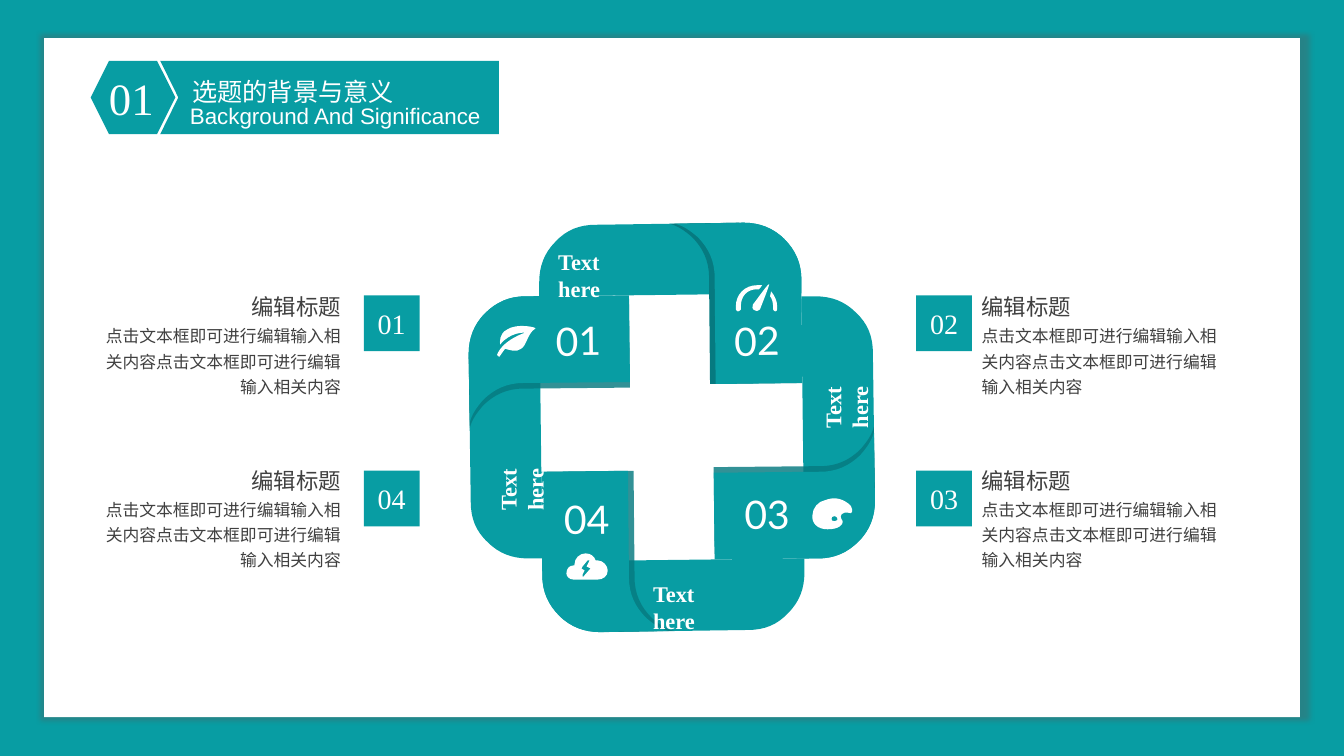
from dataclasses import dataclass

from lxml.etree import SubElement
from pptx import Presentation
from pptx.dml.color import RGBColor
from pptx.enum.shapes import MSO_SHAPE as Preset
from pptx.enum.text import MSO_ANCHOR as Anchor, PP_ALIGN as Align
from pptx.oxml import parse_xml
from pptx.oxml.ns import nsdecls, qn
from pptx.util import Pt


@dataclass(frozen=True)
class Theme:
    """Colours, fonts and type sizes of the slide."""
    teal: str = "089DA3"
    fold: str = "067A80"
    ink: str = "404040"
    white: str = "FFFFFF"
    shade: str = "595959"
    serif: str = "Times New Roman"
    hans: str = "Noto Sans CJK SC"
    sans: str = "Arial"
    digits: str = "Lato"
    chapter: int = 32
    number: int = 28
    badge: int = 20
    title: int = 18
    label: int = 16
    body: int = 12


T = Theme()

# Outlines: a pair is a line to a point, six values are a Bezier curve.
# Ribbon outlines are in points from the ring centre, for the top ribbon.
CORNER = [(52.6, -146.2), (63.4, -146.2, 73.4, -142.6, 81.4, -134.6),
          (89.3, -126.7, 93.6, -117.4, 93.6, -105.8)]
BAND = CORNER + [(93.6, -95.8), (-93.6, -93.6), (-93.6, -103.7),
                 (-93.6, -115.2, -90, -124.6, -82.1, -132.5),
                 (-74.2, -141.1, -64.8, -144.7, -53.3, -144.7)]
FLAP = CORNER + [(94.3, -31.7), (32.4, -31), (31.7, -107.3),
                 (31.7, -118.8, 27.4, -128.2, 19.4, -136.1),
                 (14.4, -140.4, 9.4, -144, 3.6, -145.4)]

# Icon outlines are on a grid of ICON_UNIT points.
ICON_UNIT = 0.72
GAUGE = [
    [(17, 21), (16, 23, 16, 26, 19, 27), (20, 28, 22, 28, 24, 26),
     (25, 23, 34, 1, 33, 1), (32, 0, 19, 19, 17, 21)],
    [(21, 6), (23, 6), (24, 5, 25, 4, 26, 2), (24, 2, 23, 2, 21, 2),
     (9, 2, 0, 11, 0, 23), (0, 26), (0, 27, 2, 28, 2, 28),
     (4, 28, 5, 26, 5, 26), (5, 23), (5, 13, 11, 6, 21, 6)],
    [(35, 8), (35, 10, 35, 11, 34, 13), (36, 15, 37, 20, 37, 23), (37, 26),
     (37, 26, 38, 28, 39, 28), (40, 28, 41, 27, 41, 26), (41, 23),
     (41, 18, 39, 13, 35, 8)]]
PALETTE = [
    [(36, 6), (29, 1, 22, 0, 14, 3), (7, 4, 1, 11, 1, 18),
     (0, 26, 6, 32, 16, 32), (28, 32, 31, 27, 31, 25),
     (32, 24, 27, 20, 30, 17), (34, 14, 37, 16, 39, 16),
     (41, 16, 42, 10, 36, 6)],
    [(23, 24), (20, 24, 20, 23, 20, 22), (20, 20, 20, 19, 23, 19),
     (24, 19, 26, 20, 26, 22), (26, 23, 24, 24, 23, 24)]]
CLOUD = [
    [(31, 7), (29, 7), (28, 3, 24, 0, 19, 0), (13, 0, 8, 5, 8, 11), (8, 12),
     (7, 12), (3, 12, 0, 15, 0, 20), (0, 23, 3, 26, 7, 26), (31, 26),
     (36, 26, 41, 23, 41, 17), (41, 12, 36, 7, 31, 7)],
    [(23, 16), (17, 23), (16, 23), (16, 21), (18, 17), (15, 15), (16, 13),
     (21, 7), (23, 7), (22, 9), (20, 13), (22, 14), (24, 15)]]
LEAF = [
    [(10, 7), (2, 11, 3, 19, 3, 22), (13, 9, 28, 10, 28, 10),
     (28, 10, 6, 17, 0, 32), (0, 33, 3, 35, 3, 33), (5, 30, 8, 26, 8, 26),
     (12, 27, 19, 30, 24, 26), (30, 22, 30, 11, 38, 6),
     (41, 5, 20, 0, 10, 7)]]


def assign(target, values):
    """Set each named attribute of target."""
    for key, value in values.items():
        setattr(target, key, value)


def paint(shape, color, alpha=None):
    """Give a shape a plain fill with no line and no shadow."""
    shape.shadow.inherit = False
    shape.fill.solid()
    shape.fill.fore_color.rgb = RGBColor.from_string(color)
    shape.line.fill.background()
    if alpha:
        tint = shape._element.spPr.find(".//" + qn("a:srgbClr"))
        SubElement(tint, qn("a:alpha"), val=str(alpha * 1000))
    return shape


def bend(shape, contours):
    """Join the three lines that stand for each curve into a Bezier curve."""
    outline = shape._element.spPr.find(".//" + qn("a:path"))
    lines = iter(outline.findall(qn("a:lnTo")))
    for segment in (part for contour in contours for part in contour[1:]):
        curve = next(lines)
        if len(segment) == 6:
            curve.tag = qn("a:cubicBezTo")
            for line in (next(lines), next(lines)):
                curve.append(line[0])
                outline.remove(line)


def draw_outline(slide, contours, place, color, alpha=None):
    """Draw closed contours as one freeform, moving each point with place."""
    rings = [[tuple(map(Pt, place(*segment[i:i + 2])))
              for segment in contour for i in range(0, len(segment), 2)]
             for contour in contours]
    builder = slide.shapes.build_freeform(*rings[0][0], scale=1.0)
    for index, ring in enumerate(rings):
        if index:
            builder.move_to(*ring[0])
        builder.add_line_segments(ring[1:], close=True)
    shape = builder.convert_to_shape()
    bend(shape, contours)
    paint(shape, color, alpha)


def block(slide, box, color, preset=Preset.RECTANGLE):
    """Add a plain filled preset shape."""
    return paint(slide.shapes.add_shape(preset, *map(Pt, box)), color)


def write(shape, text, size, font, color=T.white, align=Align.LEFT, bold=False,
          spacing=None, **frame):
    """Put one formatted paragraph into a shape."""
    assign(shape.text_frame, {"word_wrap": True, **frame})
    paragraph = shape.text_frame.paragraphs[0]
    assign(paragraph, {"alignment": align, "line_spacing": spacing})
    run = paragraph.add_run()
    run.text = text
    assign(run.font, {"size": Pt(size), "name": font, "bold": bold})
    run.font.color.rgb = RGBColor.from_string(color)
    SubElement(run.font._element, qn("a:ea"), typeface=font)


def label(slide, box, *text, rotation=0, **formats):
    """Add a text box with one paragraph."""
    textbox = slide.shapes.add_textbox(*map(Pt, box))
    textbox.rotation = rotation
    write(textbox, *text, **formats)


def draw_page(slide, box):
    """White page with a soft shadow on the teal background."""
    page = block(slide, box, T.white)
    page._element.spPr.remove(page._element.spPr.find(qn("a:effectLst")))
    page._element.spPr.append(parse_xml(
        f'<a:effectLst {nsdecls("a")}><a:outerShdw blurRad="{Pt(4)}" dist="{Pt(2)}"'
        ' dir="0" sx="101000" sy="101000" algn="ctr" rotWithShape="0">'
        f'<a:srgbClr val="{T.shade}"><a:alpha val="36000"/></a:srgbClr>'
        '</a:outerShdw></a:effectLst>'))


def draw_heading(slide, box, chapter, title, subtitle):
    """Chapter hexagon and notched title banner."""
    left, top, width, height = box
    notch = [(49.7, 0), (width, 0), (width, height), (49.7, height),
             (62.6, height / 2)]
    draw_outline(slide, [notch], lambda x, y: (left + x, top + y), T.teal)
    block(slide, (left, top, 60.5, height), T.teal, Preset.HEXAGON)
    label(slide, (left - 2.2, top + 3.6, 62.6, 46), chapter, T.chapter, T.serif,
          align=Align.CENTER)
    label(slide, (left + 65.5, top - 13.7, 160, 44.6), title, T.title, T.hans,
          spacing=2.0, word_wrap=False)
    label(slide, (left + 62, top + 25.9, 225.4, 26.6), subtitle, T.label, T.sans,
          align=Align.CENTER, vertical_anchor=Anchor.MIDDLE)


def draw_ring(slide, box):
    """Four folded ribbons, each a quarter turn of the top one."""
    left, top, width, height = box
    center_x, center_y = left + width / 2, top + height / 2

    def turned(quarter, shift=0):
        """Return the move from the top ribbon to the given quarter."""
        def place(x, y):
            x += shift
            for _ in range(quarter):
                x, y = -y, x
            nudge = 2.2 if quarter > 1 else 0
            return center_x + x + nudge, center_y + y
        return place

    for quarter in range(4):
        draw_outline(slide, [BAND], turned(quarter), T.teal)
    for quarter in range(4):
        draw_outline(slide, [FLAP], turned(quarter, -4), T.fold,
                     82 if quarter else None)
        draw_outline(slide, [FLAP], turned(quarter), T.teal)

    for number, x, y in (("02", 45.4, -79.2), ("03", 52.6, 44.6),
                         ("01", -82.1, -79.2), ("04", -76.3, 48.2)):
        label(slide, (center_x + x, center_y + y, 33.1, 33.8), number, T.number,
              T.digits, align=Align.CENTER, rotation=359.4, word_wrap=False,
              vertical_anchor=Anchor.BOTTOM, margin_left=0, margin_right=0,
              margin_top=0, margin_bottom=0)
    for x, y, rotation in ((-87.1, -131.8, 0), (-19.4, 105.8, 0),
                           (77.8, -43.9, 270), (-154.1, 15.1, 270)):
        label(slide, (center_x + x, center_y + y, 76.3, 26.6), "Text here",
              T.label, T.serif, bold=True, rotation=rotation)
    for icon, x, y in ((PALETTE, 100.8, 49.7), (LEAF, -123.8, -74.9),
                       (CLOUD, -74.2, 90), (GAUGE, 46.8, -103)):
        draw_outline(slide, icon, lambda u, v: (center_x + x + u * ICON_UNIT,
                                                center_y + y + v * ICON_UNIT), T.white)


def draw_caption(slide, box, number, badge_x, badge_drop, align):
    """Numbered badge beside a heading and its body text."""
    left, top, width, height = box
    badge = block(slide, (badge_x, top + badge_drop, 39.8, 39.8), T.teal)
    write(badge, number, T.badge, T.serif, align=Align.CENTER,
          vertical_anchor=Anchor.MIDDLE)
    label(slide, (left, top + 19.8, width, height - 19.8),
          "点击文本框即可进行编辑输入相关内容" * 2,
          T.body, T.hans, T.ink, align=align, spacing=1.25)
    heading_left = left + width - 78.5 if align == Align.RIGHT else left
    label(slide, (heading_left, top, 78.5, 26.3), "编辑标题", T.label, T.hans,
          T.ink, align=align)


def main():
    """Build the slide and save it."""
    deck = Presentation()
    assign(deck, {"slide_width": Pt(960), "slide_height": Pt(540)})
    slide = deck.slides.add_slide(deck.slide_layouts[6])
    slide.background.fill.solid()
    slide.background.fill.fore_color.rgb = RGBColor.from_string(T.teal)

    draw_page(slide, (31.5, 27.3, 897.1, 485))
    draw_heading(slide, (64.8, 43.4, 291.6, 52.4), "01", "选题的背景与意义",
                 "Background And Significance")
    draw_ring(slide, (332.8, 159.3, 292, 292))
    rows = (206, 5), (329.8, 6.4)
    columns = ((62, 259.9, Align.RIGHT, ("01", "04")),
               (694.1, 654.5, Align.LEFT, ("02", "03")))
    for left, badge_x, align, numbers in columns:
        for number, (top, drop) in zip(numbers, rows):
            draw_caption(slide, (left, top, 188.6, 80), number, badge_x, drop, align)
    deck.save("out.pptx")


main()
